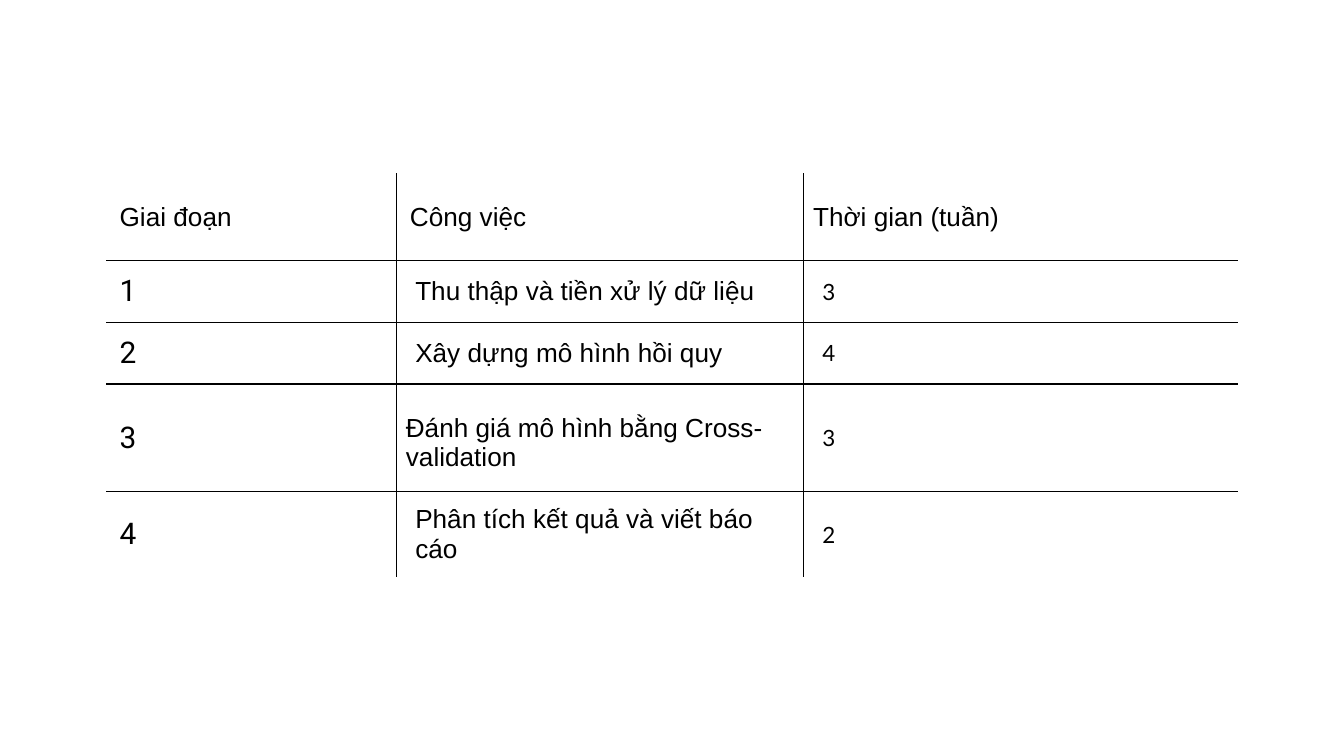
from lxml import etree
from pptx import Presentation
from pptx.dml.color import RGBColor
from pptx.enum.text import MSO_ANCHOR
from pptx.oxml.ns import qn
from pptx.util import Inches, Pt

MIDDLE = MSO_ANCHOR.MIDDLE

HEADERS = ("Giai đoạn", "Công việc", "Thời gian (tuần)")
STAGES = (
    ("1", "Thu thập và tiền xử lý dữ liệu", "3"),
    ("2", "Xây dựng mô hình hồi quy", "4"),
    ("3", "Đánh giá mô hình bằng Cross-validation", "3"),
    ("4", "Phân tích kết quả và viết báo cáo", "2"),
)

THEME = {
    "ink": "000000",
    "rule": 0.75,
    "header": ("Arial", 14),
    "columns": (("Roboto", 16), ("Arial", 14), ("Lato", 12)),
}

SLIDE_WIDTH = Inches(10)
SLIDE_HEIGHT = SLIDE_WIDTH * 9 // 16
TABLE_LEFT, TABLE_TOP = 0.79, 1.29
COLUMN_WIDTHS = (2.16, 3.03, 3.23)
ROW_HEIGHTS = (0.65, 0.45, 0.45, 0.8, 0.63)

NARROW_MARGINS = (0.1, 0.1)
WIDE_MARGINS = (0.14, 0.1)
SPECIAL_MARGINS = {(0, 2): (0.07, 0), (3, 1): (0.07, 0.08)}


def cell_margins(row, column):
    usual = NARROW_MARGINS if row == 0 or column == 0 else WIDE_MARGINS
    return SPECIAL_MARGINS.get((row, column), usual)


def set_borders(cell, visible):
    properties = cell._tc.get_or_add_tcPr()
    for side in ("L", "R", "T", "B"):
        line = etree.SubElement(properties, qn(f"a:ln{side}"))
        line.set("w", str(Pt(THEME["rule"])))
        if side in visible:
            fill = etree.SubElement(line, qn("a:solidFill"))
            etree.SubElement(fill, qn("a:srgbClr")).set("val", THEME["ink"])
        else:
            etree.SubElement(line, qn("a:noFill"))


def inner_sides(row, column):
    return {
        side
        for side, visible in (
            ("L", column > 0),
            ("R", column < len(COLUMN_WIDTHS) - 1),
            ("T", row > 0),
            ("B", row < len(ROW_HEIGHTS) - 1),
        )
        if visible
    }


def fill_cell(cell, text, row, column):
    set_borders(cell, inner_sides(row, column))
    cell.fill.background()
    horizontal, top = cell_margins(row, column)
    cell.margin_left = cell.margin_right = Inches(horizontal)
    cell.margin_top = Inches(top)
    cell.margin_bottom = Inches(0 if (row, column) in SPECIAL_MARGINS else top)
    cell.vertical_anchor = MIDDLE
    cell.text_frame.text = text
    font = cell.text_frame.paragraphs[0].runs[0].font
    font.name, size = THEME["header"] if row == 0 else THEME["columns"][column]
    font.size = Pt(size)
    font.color.rgb = RGBColor.from_string(THEME["ink"])


def main():
    presentation = Presentation()
    presentation.slide_width = SLIDE_WIDTH
    presentation.slide_height = SLIDE_HEIGHT
    slide = presentation.slides.add_slide(presentation.slide_layouts[6])
    rows = (HEADERS, *STAGES)
    table = slide.shapes.add_table(
        len(rows), len(HEADERS), Inches(TABLE_LEFT), Inches(TABLE_TOP),
        Inches(sum(COLUMN_WIDTHS)), Inches(sum(ROW_HEIGHTS)),
    ).table
    table.first_row = False
    table.horz_banding = False
    for column, width in zip(table.columns, COLUMN_WIDTHS):
        column.width = Inches(width)
    for row, height in zip(table.rows, ROW_HEIGHTS):
        row.height = Inches(height)
    for row, texts in enumerate(rows):
        for column, text in enumerate(texts):
            fill_cell(table.cell(row, column), text, row, column)
    presentation.save("out.pptx")


if __name__ == "__main__":
    main()
